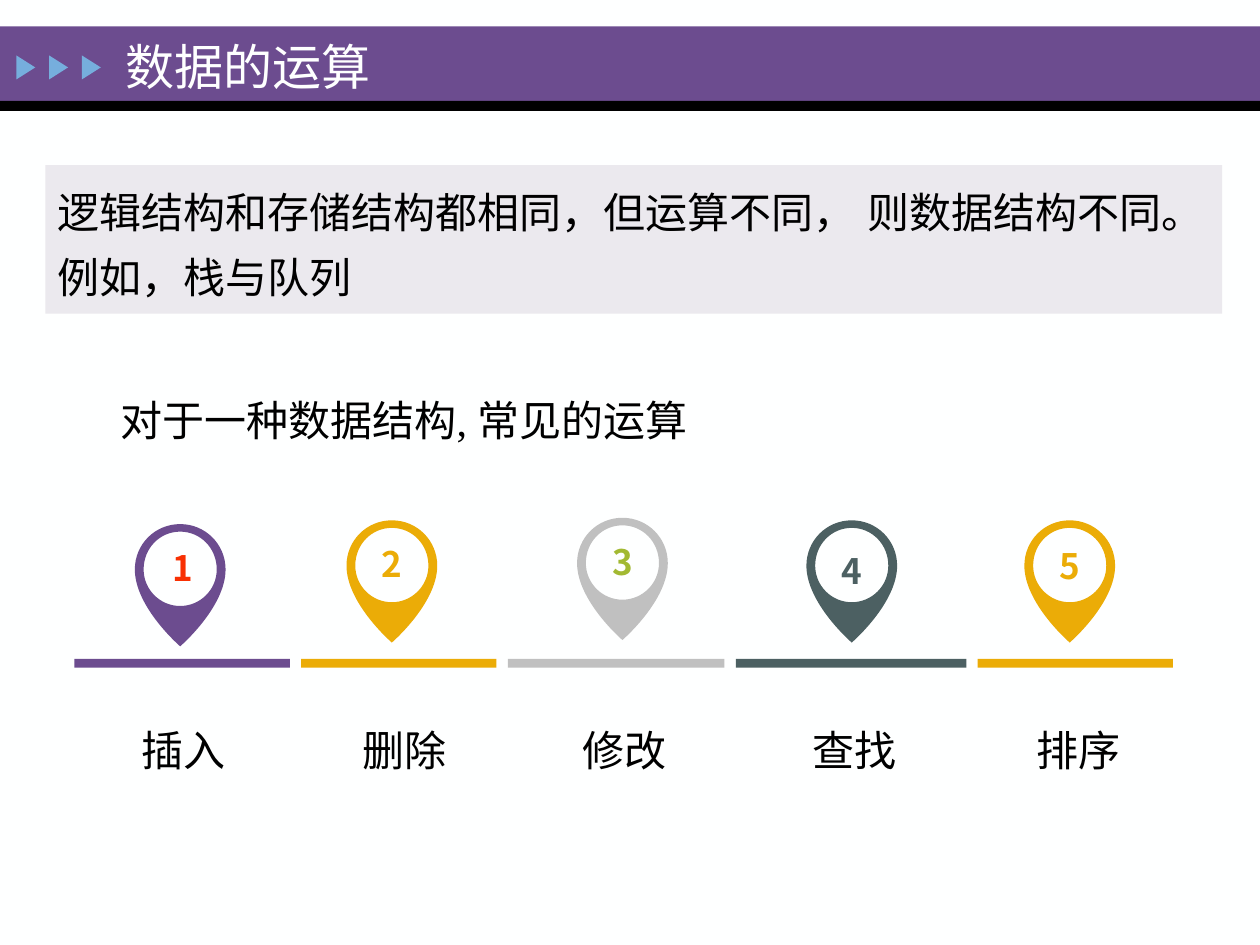
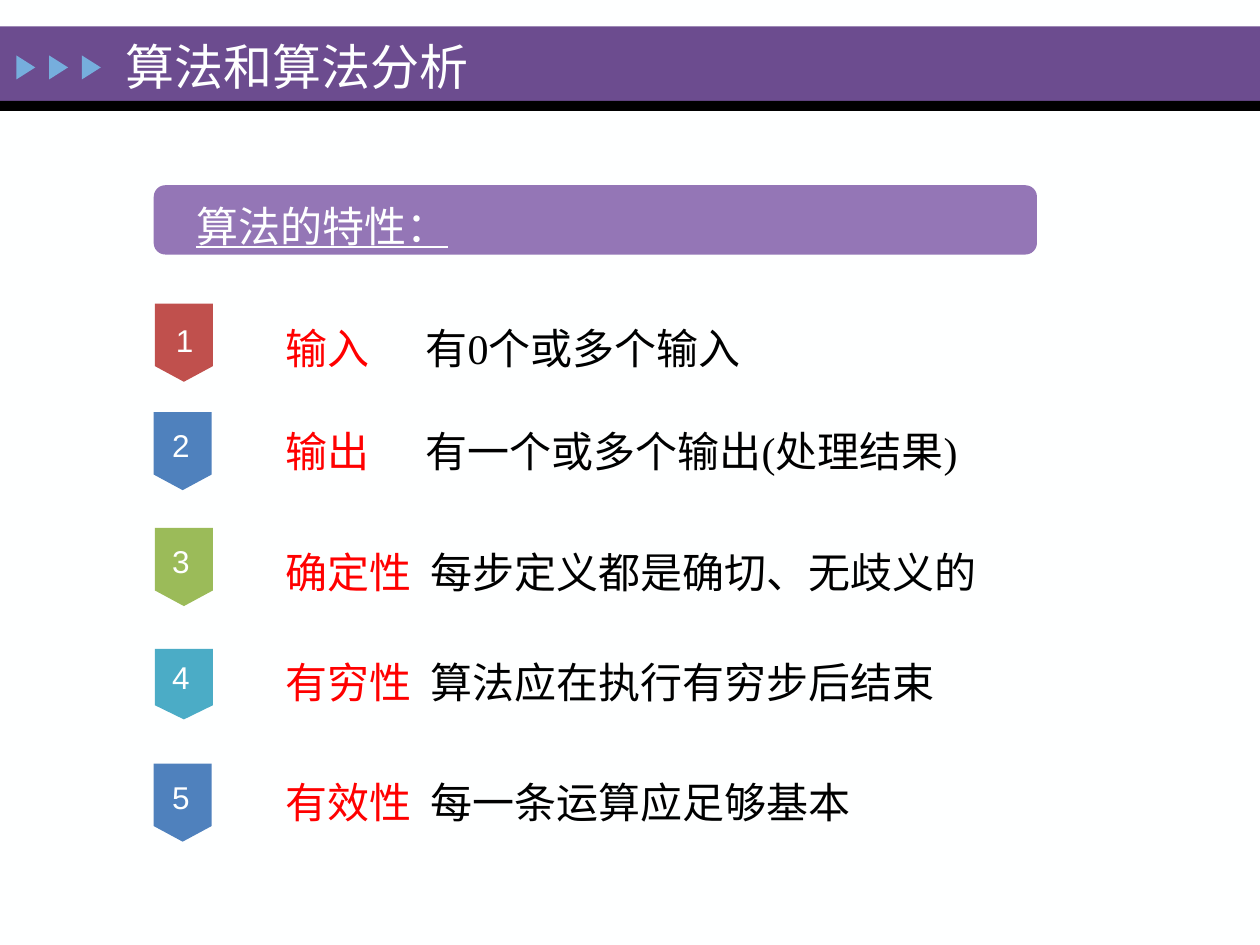
from lxml.etree import SubElement
from pptx import Presentation
from pptx.dml.color import RGBColor
from pptx.enum.shapes import MSO_SHAPE
from pptx.enum.text import MSO_ANCHOR, PP_ALIGN
from pptx.oxml.ns import qn
from pptx.util import Inches, Pt

PURPLE = RGBColor(0x6C, 0x4C, 0x8F)
LILAC = RGBColor(0x94, 0x76, 0xB6)
PALE = RGBColor(0xEB, 0xE9, 0xEE)
SKY = RGBColor(0x76, 0xAE, 0xDD)
AMBER = RGBColor(0xEB, 0xAC, 0x07)
SILVER = RGBColor(0xC0, 0xC0, 0xC0)
SLATE = RGBColor(0x4C, 0x60, 0x62)
ORANGE = RGBColor(0xF8, 0x30, 0x03)
LIME = RGBColor(0xA2, 0xB9, 0x32)
BRICK = RGBColor(0xC0, 0x50, 0x4D)
BLUE = RGBColor(0x4F, 0x81, 0xBD)
GREEN = RGBColor(0x9B, 0xBB, 0x59)
TEAL = RGBColor(0x4B, 0xAC, 0xC6)
RED = RGBColor(0xFF, 0x00, 0x00)
BLACK = RGBColor(0x00, 0x00, 0x00)
WHITE = RGBColor(0xFE, 0xFF, 0xFF)

SERIF = "Times New Roman"
SANS = "Noto Sans CJK SC"
# East Asian typeface that goes with each Latin one
EAST_ASIAN = {SERIF: "Arial", SANS: SANS, "Arial": "Arial"}


def add_block(s, kind, x, y, w, h, color=None):
    """Add a borderless preset shape, or a text box when kind is None."""
    at = Inches(x), Inches(y), Inches(w), Inches(h)
    if kind is None:
        return s.shapes.add_textbox(*at)
    sp = s.shapes.add_shape(kind, *at)
    sp.shadow.inherit = False
    sp.line.fill.background()
    if color is None:
        sp.fill.background()
    else:
        sp.fill.solid()
        sp.fill.fore_color.rgb = color
    return sp


def write(sp, runs, size=24, font=SERIF, spacing=1.0,
          align=PP_ALIGN.LEFT, anchor=MSO_ANCHOR.TOP):
    """Fill the first paragraph of sp with (text, colour) runs."""
    tf = sp.text_frame
    tf.word_wrap = True
    tf.vertical_anchor = anchor
    p = tf.paragraphs[0]
    p.alignment = align
    p.line_spacing = spacing
    for text, color in runs:
        r = p.add_run()
        r.text = text
        r.font.size = Pt(size)
        r.font.name = font
        r.font.color.rgb = color
        SubElement(r.font._element, qn("a:ea"), typeface=EAST_ASIAN[font])
    return p


prs = Presentation()
prs.slide_width = Inches(10)
prs.slide_height = Inches(7.5)

# Shared background, title band and arrows
slides = []
for title, y, w, h, anchor in (
    ("数据的运算", 0.21, 2.57, 0.62, MSO_ANCHOR.MIDDLE),
    ("算法和算法分析", 0.24, 8.59, 0.75, MSO_ANCHOR.TOP),
):
    s = prs.slides.add_slide(prs.slide_layouts[6])
    s.background.fill.solid()
    s.background.fill.fore_color.rgb = WHITE
    add_block(s, MSO_SHAPE.RECTANGLE, 0, 0.21, 10, 0.59, PURPLE)
    add_block(s, MSO_SHAPE.RECTANGLE, 0, 0.8, 10, 0.08, BLACK)
    for i in range(3):
        arrow = add_block(s, MSO_SHAPE.ISOSCELES_TRIANGLE,
                          0.11 + 0.26 * i, 0.46, 0.19, 0.15, SKY)
        arrow.rotation = 90
    write(add_block(s, None, 0.9, y, w, h), [(title, WHITE)], size=28, anchor=anchor)
    slides.append(s)

# Slide 1: common operations
s = slides[0]
write(add_block(s, MSO_SHAPE.RECTANGLE, 0.36, 1.31, 9.34, 1.18, PALE),
      [("逻辑结构和存储结构都相同，但运算不同， 则数据结构不同。例如，栈与队列", BLACK)],
      spacing=1.3)
p = write(add_block(s, None, 0.27, 2.96, 9.34, 0.74),
          [("对于一种数据结构, 常见的运算", BLACK)], spacing=1.3)
p._p.get_or_add_pPr().set("indent", str(Inches(0.59)))

# Left halves of the pin and its hole: a start, then three Bezier points per curve
PIN_HALF = [(0, 0), (-0.2, 0), (-0.36, 0.16), (-0.36, 0.36),
            (-0.36, 0.66), (0, 0.97), (0, 0.97)]
HOLE_HALF = [(0, 0.65), (-0.16, 0.65), (-0.29, 0.52), (-0.29, 0.36),
             (-0.29, 0.19), (-0.16, 0.06), (0, 0.06)]
rings = [half + [(-x, y) for x, y in half[-2::-1]] for half in (PIN_HALF, HOLE_HALF)]

# label, colour, digit colour, pin centre, pin top, digit centre, digit top,
# bar width, label centre
operations = [
    ("插入", PURPLE, ORANGE, 1.43, 4.16, 1.45, 4.29, 1.71, 1.46),
    ("删除", AMBER, AMBER, 3.11, 4.13, 3.11, 4.26, 1.55, 3.21),
    ("修改", SILVER, LIME, 4.94, 4.11, 4.94, 4.24, 1.72, 4.96),
    ("查找", SLATE, SLATE, 6.76, 4.13, 6.76, 4.31, 1.83, 6.78),
    ("排序", AMBER, AMBER, 8.49, 4.13, 8.49, 4.27, 1.55, 8.56),
]
BAR_GAP = 0.09
bar_x = 0.59
for n, (label, color, digit_color, cx, top, digit_cx, digit_y, bar_w, label_cx) in enumerate(
        operations, 1):
    outline, hole = [[(Inches(cx + x), Inches(top + y)) for x, y in ring] for ring in rings]
    builder = s.shapes.build_freeform(*outline[0])
    builder.add_line_segments(outline[1:], close=True)
    builder.move_to(*hole[0])
    builder.add_line_segments(hole[1:], close=True)
    pin = builder.convert_to_shape()
    pin.shadow.inherit = False
    pin.fill.solid()
    pin.fill.fore_color.rgb = color
    pin.line.fill.background()
    # Merge every three straight segments into one Bezier curve
    segments = list(pin._element.iter(qn("a:lnTo")))
    for i in range(0, len(segments), 3):
        segments[i].tag = qn("a:cubicBezTo")
        for extra in segments[i + 1:i + 3]:
            segments[i].append(extra[0])
            extra.getparent().remove(extra)

    add_block(s, MSO_SHAPE.RECTANGLE, bar_x, 5.23, bar_w, 0.07, color)
    bar_x += bar_w + BAR_GAP
    p = write(add_block(s, None, digit_cx - 0.19, digit_y, 0.38, 0.44),
              [(str(n), digit_color)], size=20, font=SANS, align=PP_ALIGN.CENTER)
    p.runs[0].font.bold = True
    write(add_block(s, None, label_cx - 0.69, 5.5, 1.38, 0.64), [(label, BLACK)],
          font=SANS, spacing=1.5, align=PP_ALIGN.CENTER)

# Slide 2: properties of an algorithm
s = slides[1]
add_block(s, MSO_SHAPE.ROUNDED_RECTANGLE, 1.22, 1.47, 7.01, 0.55, LILAC)
p = write(add_block(s, None, 1.46, 1.42, 7.48, 0.73), [("算法的特性：", WHITE)], spacing=1.3)
p.runs[0].font.underline = True

# term, meaning, tag colour, tag left, top and height, digit left and top,
# digit alignment, text top, width and height
properties = [
    ("输入", "有0个或多个输入", BRICK, 1.23, 2.41, 0.62,
     1.2, 2.39, PP_ALIGN.CENTER, 2.39, 7.48, 0.64),
    ("输出", "有一个或多个输出(处理结果)", BLUE, 1.22, 3.27, 0.62,
     1.19, 3.23, PP_ALIGN.LEFT, 3.21, 6.22, 0.64),
    ("确定性", "每步定义都是确切、无歧义的", GREEN, 1.23, 4.19, 0.62,
     1.19, 4.15, PP_ALIGN.LEFT, 4.17, 7.48, 0.59),
    ("有穷性", "算法应在执行有穷步后结束", TEAL, 1.23, 5.15, 0.56,
     1.19, 5.07, PP_ALIGN.LEFT, 5.04, 7.48, 0.66),
    ("有效性", "每一条运算应足够基本", BLUE, 1.22, 6.06, 0.62,
     1.19, 6.02, PP_ALIGN.LEFT, 5.99, 7.48, 0.75),
]
for n, (term, meaning, color, x, y, h, digit_x, digit_y, align, text_y, text_w, text_h) in enumerate(
        properties, 1):
    add_block(s, MSO_SHAPE.FLOWCHART_OFFPAGE_CONNECTOR, x, y, 0.46, h, color)
    write(add_block(s, MSO_SHAPE.OVAL, digit_x, digit_y, 0.53, 0.61), [(str(n), WHITE)],
          size=18, font="Arial", align=align, anchor=MSO_ANCHOR.MIDDLE)
    p = write(add_block(s, None, 2.17, text_y, text_w, text_h),
              [(term, RED), ("\t" + meaning, BLACK)], spacing=1.3)
    tabs = SubElement(p._p.get_or_add_pPr(), qn("a:tabLst"))
    tab_stop = 1.11 if len(term) == 2 else 1.15
    SubElement(tabs, qn("a:tab"), pos=str(Inches(tab_stop)), algn="l")

prs.save("out.pptx")
